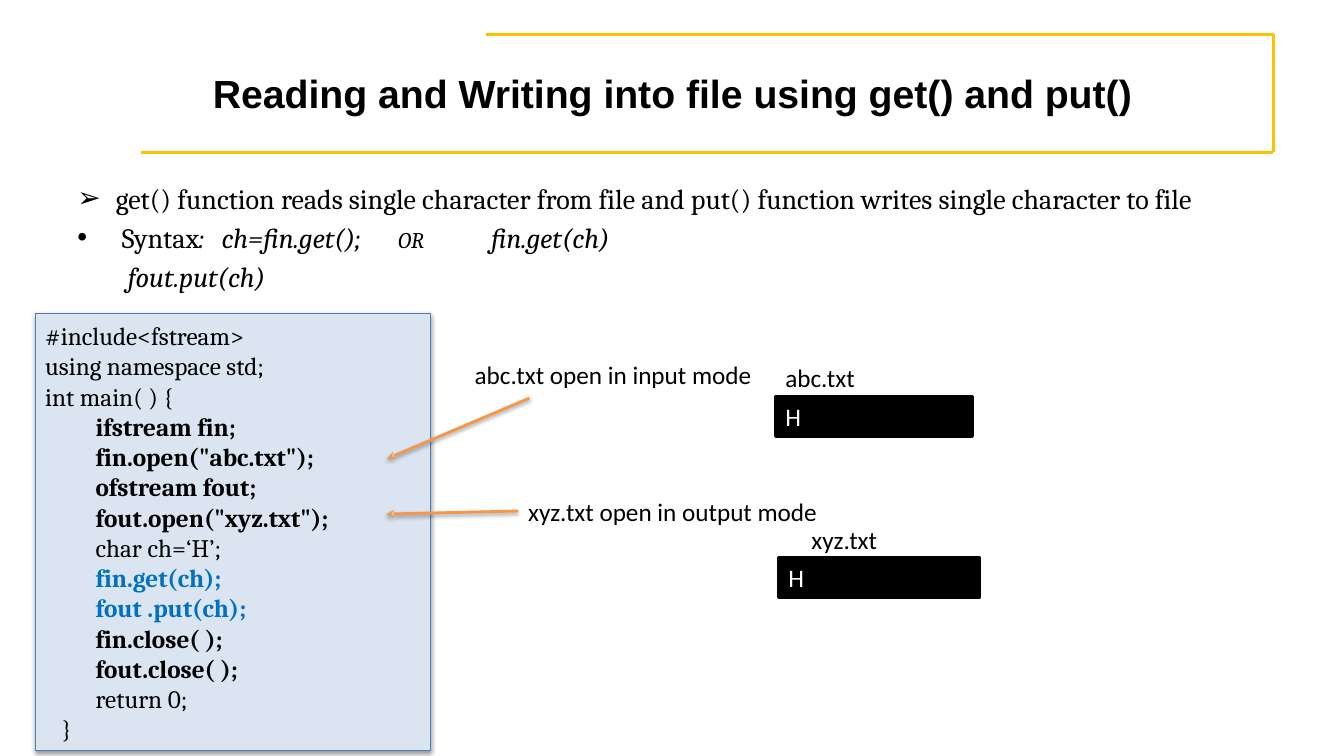
from lxml import etree
from pptx import Presentation, util as u
from pptx.dml.color import RGBColor
from pptx.enum import shapes, text
from pptx.oxml.ns import qn

GOLD, BLUE, BLACK, WHITE = "FFC100", "0070C0", "000000", "FFFFFF"

CODE = [
    [("#include<fstream>", "")],
    [("using namespace std;", "")],
    [("int main( ) {", "")],
    [("\tifstream fin;", "b")],
    [('\tfin.open("abc.txt");', "b")],
    [("\tofstream fout;", "b")],
    [('\tfout.open("xyz.txt");', "b")],
    [("\tchar ch=‘H’;", "")],
    [("\tfin.get(ch);", "bc")],
    [("\tfout .put(ch);", "bc")],
    [("\tfin.close( );", "b")],
    [("\tfout.close( );", "b")],
    [("\treturn 0;", "")],
    [("   }", "")],
]


def color(code):
    return RGBColor.from_string(code)


def sub(node, tag, **attrs):
    return etree.SubElement(node, qn(tag), attrs)


def add_run(para, words, size, face, tint=BLACK, bold=False, slant=False):
    run = para.add_run()
    run.text = words
    font = run.font
    font.size, font.name = u.Pt(size), face
    font.bold, font.italic = bold, slant
    font.color.rgb = color(tint)


def add_text(slide, box):
    frame = slide.shapes.add_textbox(*map(u.Inches, box)).text_frame
    frame.word_wrap = True
    return frame


def add_rect(slide, box, fill, edge, width):
    rect = slide.shapes.add_shape(shapes.MSO_SHAPE.RECTANGLE, *map(u.Inches, box))
    rect.shadow.inherit = False
    rect.fill.solid()
    rect.fill.fore_color.rgb = color(fill)
    rect.line.color.rgb = color(edge)
    rect.line.width = u.Pt(width)
    frame = rect.text_frame
    frame.vertical_anchor = text.MSO_ANCHOR.MIDDLE
    frame.paragraphs[0].alignment = text.PP_ALIGN.LEFT
    return rect


def add_line(slide, start, end, tint):
    line = slide.shapes.add_connector(
        shapes.MSO_CONNECTOR.STRAIGHT, *map(u.Inches, (*start, *end)))
    line.line.color.rgb = color(tint)
    line.line.width = u.Pt(2)
    sub(line._element.spPr, "a:effectLst")
    return line


def add_shade(shape):
    """Give the shape a soft shadow straight below it."""
    list_ = shape._element.spPr.find(qn("a:effectLst"))
    shade = sub(list_, "a:outerShdw", blurRad=str(u.Pt(3.1)), dist=str(u.Pt(1.6)),
                dir="5400000", rotWithShape="0")
    sub(sub(shade, "a:srgbClr", val=BLACK), "a:alpha", val="38000")


def add_frame(slide, box):
    """Draw the gold rule: short top, right side, long bottom."""
    left, top, wide, high = box
    right, base = left + wide, top + high
    points = [(left + 3.42, top), (right, top), (right, base), (left, base)]
    for start, end in zip(points, points[1:]):
        add_line(slide, start, end, GOLD)


def add_title(slide, box):
    title = slide.shapes.title
    title.left, title.top, title.width, title.height = map(u.Inches, box)
    frame = title.text_frame
    frame.vertical_anchor = text.MSO_ANCHOR.MIDDLE
    para = frame.paragraphs[0]
    para.alignment = text.PP_ALIGN.CENTER
    add_run(para, "Reading and Writing into file using get() and put()",
            28, "Arial", bold=True)


def add_points(slide, box):
    frame = add_text(slide, box)
    rows = [
        ("➢", [], [("get() function reads single character from file and put() "
                    "function writes single character to file", 20, False)]),
        ("•", [1.43, 3.18, 4.1], [(" Syntax", 20, False), (":\tch=fin.get();", 20, True),
                                  ("\tOR", 16, True), ("\tfin.get(ch)", 20, True)]),
        (None, [1.45], [("\tfout.put(ch)", 20, True)]),
    ]
    for i, (mark, stops, runs) in enumerate(rows):
        para = frame.add_paragraph() if i else frame.paragraphs[0]
        if i:
            para.space_before = u.Pt(4)
        props = para._p.get_or_add_pPr()
        hang = u.Inches(0.38) if mark else 0
        props.set("marL", str(hang))
        props.set("indent", str(-hang))
        if mark:
            sub(sub(props, "a:buClr"), "a:srgbClr", val=BLACK)
            sub(props, "a:buFont", typeface="Arial")
            sub(props, "a:buChar", char=mark)
        else:
            sub(props, "a:buNone")
        if stops:
            tabs = sub(props, "a:tabLst")
            for stop in stops:
                sub(tabs, "a:tab", pos=str(u.Inches(stop)), algn="l")
        for words, size, slant in runs:
            add_run(para, words, size, "Cambria", slant=slant)


def add_code(slide, box):
    rect = add_rect(slide, box, "DAE5F1", "4A7DBA", 0.75)
    add_shade(rect)
    frame = rect.text_frame
    for i, runs in enumerate(CODE):
        para = frame.add_paragraph() if i else frame.paragraphs[0]
        para.alignment = text.PP_ALIGN.LEFT
        for words, style in runs:
            add_run(para, words, 18, "Cambria", BLUE if "c" in style else BLACK,
                    bold="b" in style)


def add_label(slide, box, words):
    add_run(add_text(slide, box).paragraphs[0], words, 18, "Calibri")


def add_file(slide, box, name, shift):
    """Draw a file's content as a black bar with its name above."""
    left, top, wide, high = box
    bar = add_rect(slide, box, BLACK, BLACK, 2)
    add_run(bar.text_frame.paragraphs[0], "H", 18, "Calibri", WHITE)
    add_label(slide, (left + shift, top - 0.38, 1.17, high), name)


def add_note(slide, box, words, start, end):
    """Place a remark and the arrow from it to its line of code."""
    add_label(slide, box, words)
    arrow = add_line(slide, start, end, "F79646")
    add_shade(arrow)
    sub(arrow.line._get_or_add_ln(), "a:tailEnd", type="stealth")


def main():
    deck = Presentation()
    deck.slide_width, deck.slide_height = u.Inches(13.33), u.Inches(7.5)
    slide = deck.slides.add_slide(deck.slide_layouts[5])
    add_frame(slide, (1.4, 0.34, 11.23, 1.17))
    add_title(slide, (0.67, 0.3, 12, 1.25))
    add_points(slide, (0.67, 1.75, 12, 1.29))
    add_code(slide, (0.35, 3.11, 3.92, 4.34))
    add_file(slide, (7.69, 3.93, 1.96, 0.4), "abc.txt", 0)
    add_file(slide, (7.72, 5.53, 2, 0.4), "xyz.txt", 0.23)
    add_note(slide, (4.61, 3.52, 3.07, 0.4), "abc.txt open in input mode",
             (5.25, 3.95), (3.84, 4.55))
    add_note(slide, (5.14, 4.87, 3.1, 0.4), "xyz.txt open in output mode",
             (5.14, 5.07), (3.83, 5.1))
    deck.save("out.pptx")


if __name__ == "__main__":
    main()
